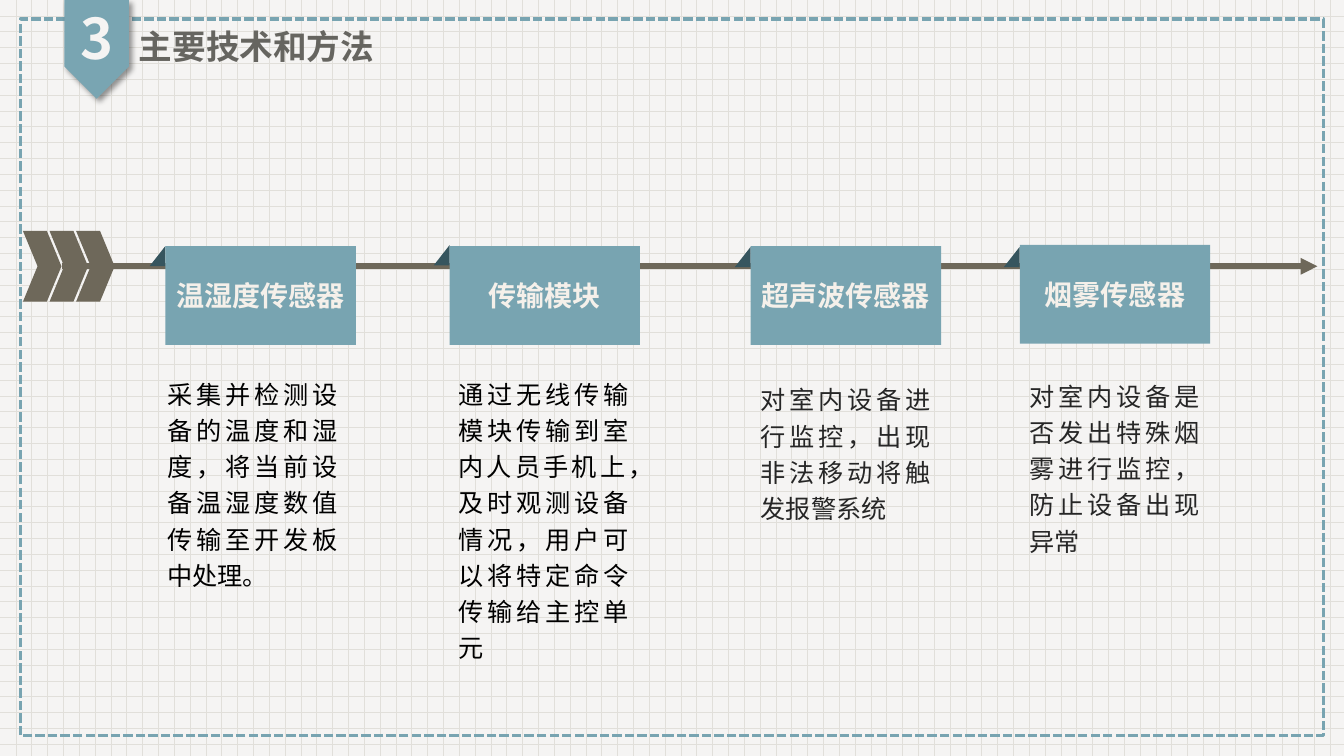
from lxml import etree
from pptx import Presentation
from pptx.dml.color import RGBColor
from pptx.enum.dml import MSO_LINE, MSO_PATTERN
from pptx.enum.shapes import MSO_CONNECTOR, MSO_SHAPE
from pptx.enum.text import MSO_ANCHOR, PP_ALIGN
from pptx.oxml import parse_xml
from pptx.oxml.ns import qn
from pptx.util import Cm, Pt

RECT, PLATE = MSO_SHAPE.RECTANGLE, MSO_SHAPE.PENTAGON
FOLD, SLANT = MSO_SHAPE.ISOSCELES_TRIANGLE, MSO_SHAPE.PARALLELOGRAM
LEFT, MID, JUST = PP_ALIGN.LEFT, PP_ALIGN.CENTER, PP_ALIGN.JUSTIFY
TOP, CENTER = MSO_ANCHOR.TOP, MSO_ANCHOR.MIDDLE
DASH, GRID = MSO_LINE.SQUARE_DOT, MSO_PATTERN.DOTTED_GRID
STRAIGHT = MSO_CONNECTOR.STRAIGHT

PAPER = RGBColor(0xF5, 0xF4, 0xF3)
DOTS = RGBColor(0xE1, 0xDF, 0xDA)
TEAL = RGBColor(0x78, 0xA4, 0xB1)
BADGE = RGBColor(0x79, 0xA5, 0xB2)
DEEP = RGBColor(0x36, 0x55, 0x5E)
EARTH = RGBColor(0x6E, 0x68, 0x5A)
GRAY = RGBColor(0x66, 0x65, 0x60)
CREAM = RGBColor(0xF5, 0xF0, 0xEA)
BLACK = RGBColor(0, 0, 0)
COAL = RGBColor(0x26, 0x26, 0x26)
FONT = "Noto Sans CJK SC"

NUMBER, TITLE = "3", "主要技术和方法"
CARDS = [
    dict(name="温湿度传感器", x=4.17, y=6.2, fold=6.2, left=3.96, top=9.27, high=5.72, color=BLACK,
         note="采集并检测设备的温度和湿度，将当前设备温湿度数值传输至开发板中处理。"),
    dict(name="传输模块", x=11.33, y=6.2, fold=6.18, left=11.3, top=9.27, high=7.57, color=BLACK,
         note="通过无线传输模块传输到室内人员手机上，及时观测设备情况，用户可以将特定命令传输给主控单元"),
    dict(name="超声波传感器", x=18.92, y=6.2, fold=6.22, left=18.92, top=9.42, high=3.86, color=COAL,
         note="对室内设备进行监控，出现非法移动将触发报警系统"),
    dict(name="烟雾传感器", x=25.7, y=6.17, fold=6.22, left=25.7, top=9.32, high=4.8, color=COAL,
         note="对室内设备是否发出特殊烟雾进行监控，防止设备出现异常"),
]
WIDE, TALL = 4.8, 2.49
AXIS = 6.71

SHADOW = (
    '<a:effectLst xmlns:a="http://schemas.openxmlformats.org/drawingml/2006/main">'
    '<a:outerShdw blurRad="50800" dist="38100" dir="2700000" algn="tl" rotWithShape="0">'
    '<a:srgbClr val="000000"><a:alpha val="40000"/></a:srgbClr>'
    '</a:outerShdw></a:effectLst>'
)


def write(shape, text, size, color, bold=False, align=LEFT, anchor=TOP, space=1.0, before=0):
    frame = shape.text_frame
    frame.word_wrap = True
    frame.vertical_anchor = anchor
    para = frame.paragraphs[0]
    para.alignment = align
    para.line_spacing = space
    para.space_before = Pt(before)
    run = para.add_run()
    run.text = text
    font = run.font
    font.size, font.bold, font.name = Pt(size), bold, FONT
    font.color.rgb = color
    props = run._r.get_or_add_rPr()
    props.set("lang", "zh-CN")
    etree.SubElement(props, qn("a:ea")).set("typeface", FONT)


def draw(home, kind, box, fill=None, flip=False, adj=None):
    shape = home.add_shape(kind, *map(Cm, box))
    shape.shadow.inherit = False
    shape.line.fill.background()
    if fill is None:
        shape.fill.background()
    else:
        shape.fill.solid()
        shape.fill.fore_color.rgb = fill
    if adj is not None:
        shape.adjustments[0] = adj
    if flip:
        shape._element.spPr.xfrm.set("flipH", "1")
    return shape


def label(home, box, text, **style):
    write(home.add_textbox(*map(Cm, box)), text, **style)


def header(home):
    frame = draw(home, RECT, (0.51, 0.48, 32.84, 18.06))
    frame.line.color.rgb = TEAL
    frame.line.width = Pt(2.25)
    frame.line.dash_style = DASH
    badge = draw(home, PLATE, (1.19, 0.43, 2.49, 1.63), BADGE)
    badge.rotation = 90
    props = badge._element.spPr
    props.replace(props.find(qn("a:effectLst")), parse_xml(SHADOW))
    style = dict(bold=True, anchor=CENTER, space=0.9, before=10)
    label(home, (1.63, 0, 1.63, 2.08), NUMBER, size=40, color=PAPER, align=MID, **style)
    label(home, (3.25, 0.58, 11.68, 1.3), TITLE, size=24, color=GRAY, **style)


def arrow(home):
    group = home.add_group_shape().shapes
    line = group.add_connector(STRAIGHT, Cm(1.55), Cm(AXIS), Cm(33.2), Cm(AXIS))
    line.line.color.rgb = EARTH
    line.line.width = Pt(4)
    etree.SubElement(line.line._get_or_add_ln(), qn("a:tailEnd")).set("type", "triangle")
    etree.SubElement(line._element.spPr, qn("a:effectLst"))
    high = 0.89
    for y, flip in ((AXIS - high, True), (AXIS, False)):
        for i in range(3):
            draw(group, SLANT, (0.58 + 0.67 * i, y, 0.97, high), EARTH, flip, 0.413)


def card(home, item):
    x = item["x"]
    draw(home, FOLD, (x - 0.4, item["fold"], 0.4, 0.51), DEEP, True, 0)
    block = draw(home, RECT, (x, item["y"], WIDE, TALL), TEAL)
    write(block, item["name"], 20, CREAM, bold=True, align=MID, anchor=CENTER)
    label(home, (item["left"], item["top"], WIDE, item["high"]), item["note"],
          size=18, color=item["color"], align=JUST, space=1.2)


def main():
    deck = Presentation()
    deck.slide_width, deck.slide_height = Cm(33.87), Cm(19.05)
    slide = deck.slides.add_slide(deck.slide_layouts[6])
    back = slide.background.fill
    back.patterned()
    back.pattern = GRID
    back.fore_color.rgb, back.back_color.rgb = DOTS, PAPER
    header(slide.shapes)
    arrow(slide.shapes)
    for item in CARDS:
        card(slide.shapes, item)
    deck.save("out.pptx")


if __name__ == "__main__":
    main()
